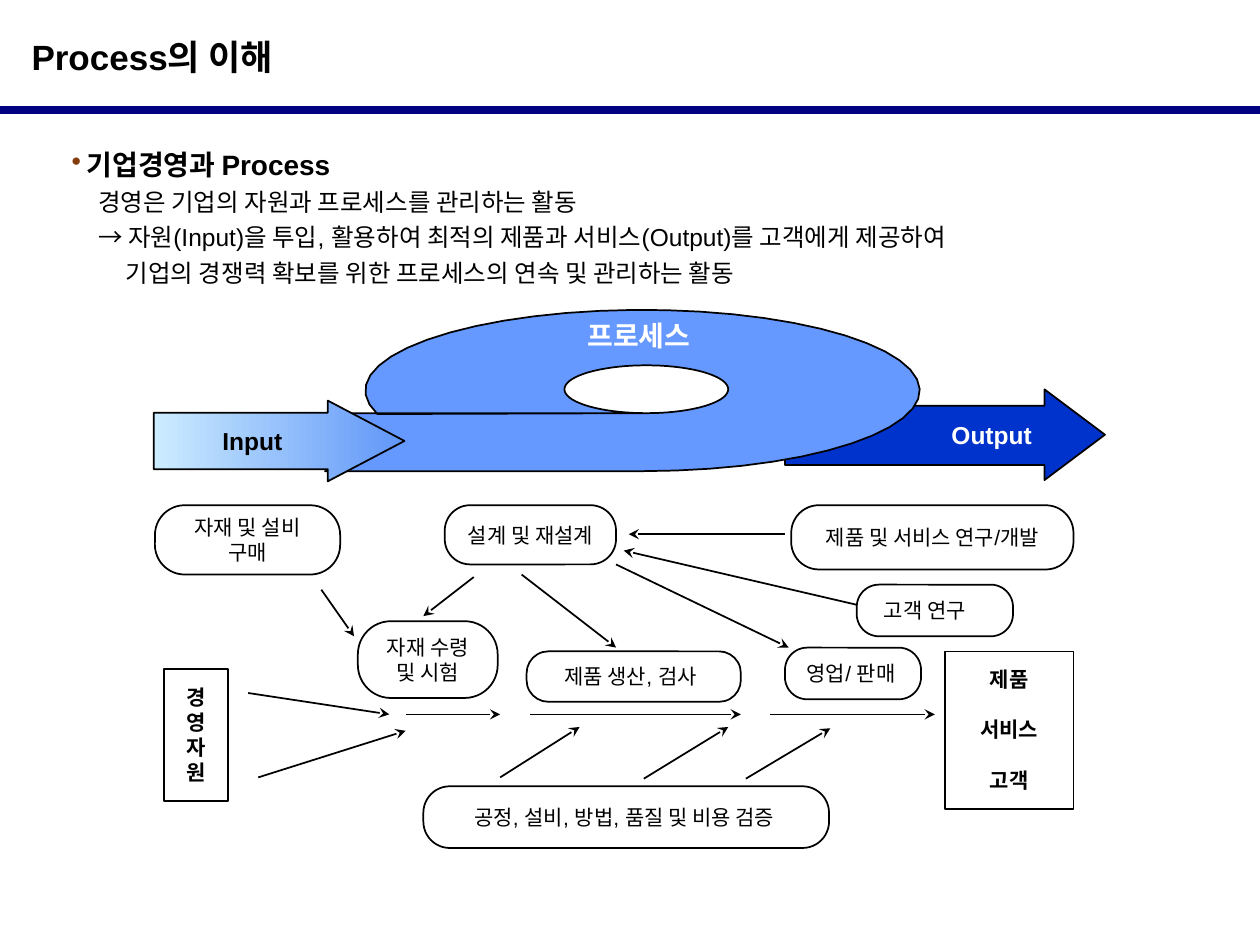
from dataclasses import dataclass
from math import cos, radians, sin

from lxml import etree
from pptx import Presentation
from pptx.dml.color import RGBColor
from pptx.enum.shapes import MSO_CONNECTOR, MSO_SHAPE
from pptx.enum.text import MSO_ANCHOR, PP_ALIGN
from pptx.oxml.ns import qn
from pptx.util import Inches, Pt

STRAIGHT = MSO_CONNECTOR.STRAIGHT
RECTANGLE, ROUNDED = MSO_SHAPE.RECTANGLE, MSO_SHAPE.ROUNDED_RECTANGLE
RIGHT_ARROW = MSO_SHAPE.RIGHT_ARROW
LEFT, CENTER, JUSTIFY = PP_ALIGN.LEFT, PP_ALIGN.CENTER, PP_ALIGN.JUSTIFY
TOP, MIDDLE = MSO_ANCHOR.TOP, MSO_ANCHOR.MIDDLE


@dataclass(frozen=True)
class Theme:
    font: str = "Arial"
    black: str = "000000"
    white: str = "FFFFFF"
    rule: str = "000080"
    bullet: str = "843C0B"
    output: str = "0033CC"
    process: str = "6699FF"
    input_start: str = "CCECFF"
    input_end: str = "6096F8"
    title: int = 20
    heading: int = 16
    body: int = 14
    label: int = 12


THEME = Theme()

STEPS = [
    (6.28, 4.01, 2.24, 0.51, ["제품 및 서비스 연구/개발"], 0),
    (3.53, 4.01, 1.36, 0.47, ["설계 및 재설계"], 0),
    (6.8, 4.64, 1.24, 0.41, ["고객 연구"], 0.16),
    (1.23, 4.01, 1.47, 0.55, ["자재 및 설비", "구매"], 0),
    (2.84, 4.93, 1.11, 0.61, ["자재 수령", "및 시험"], 0),
    (4.18, 5.17, 1.7, 0.4, ["제품 생산, 검사"], 0.05),
    (6.23, 5.14, 1.08, 0.41, ["영업/ 판매"], 0.03),
    (3.36, 6.24, 3.22, 0.49, ["공정, 설비, 방법, 품질 및 비용 검증"], 0.03),
]

FLOWS = [
    (3.22, 5.67, 3.97, 5.67), (4.21, 5.67, 5.88, 5.67), (6.11, 5.67, 7.42, 5.67),
    (1.97, 5.5, 3.09, 5.67), (2.05, 6.17, 3.22, 5.8), (3.97, 6.17, 4.6, 5.77),
    (5.11, 6.18, 5.78, 5.77), (5.92, 6.18, 6.59, 5.78), (4.89, 4.48, 6.26, 5.14),
    (3.76, 4.58, 3.36, 4.89), (4.14, 4.56, 4.89, 5.14), (6.8, 4.8, 4.95, 4.37),
    (2.55, 4.68, 2.81, 5.05), (6.23, 4.24, 4.99, 4.24),
]

BODY = [
    ("기업경영과 Process", THEME.heading, True, 0.12),
    ("경영은 기업의 자원과 프로세스를 관리하는 활동", THEME.body, False, 0.21),
    ("→ 자원(Input)을 투입, 활용하여 최적의 제품과 서비스(Output)를 고객에게 제공하여",
     THEME.body, False, 0.21),
    ("기업의 경쟁력 확보를 위한 프로세스의 연속 및 관리하는 활동", THEME.body, False, 0.43),
]


def color(value):
    return RGBColor.from_string(value)


def style(paragraph, size, bold=False, ink=THEME.black, align=CENTER):
    paragraph.alignment = align
    font = paragraph.font
    font.name, font.size, font.bold = THEME.font, Pt(size), bold
    font.color.rgb = color(ink)


def write(shape, lines, size, bold=False, ink=THEME.black, anchor=MIDDLE, gap=0):
    frame = shape.text_frame
    frame.word_wrap = False
    frame.vertical_anchor = anchor
    frame.text = "\n".join(lines)
    for paragraph in frame.paragraphs:
        style(paragraph, size, bold, ink)
        paragraph.space_after = Pt(gap)


def outline(shape, fill=None):
    shape.shadow.inherit = False
    shape.line.color.rgb = color(THEME.black)
    shape.line.width = Pt(1)
    if fill:
        shape.fill.solid()
        shape.fill.fore_color.rgb = color(fill)
    else:
        shape.fill.background()


def add_box(page, kind, left, top, width, height):
    box = page.shapes.add_shape(kind, Inches(left), Inches(top), Inches(width), Inches(height))
    outline(box)
    return box


def add_step(page, left, top, width, height, lines, right_margin):
    step = add_box(page, ROUNDED, left, top, width, height)
    step.adjustments[0] = 0.43
    write(step, lines, THEME.label)
    step.text_frame.margin_left = 0
    step.text_frame.margin_right = Inches(right_margin)


def add_list_box(page, left, top, width, height, lines, gap=0):
    box = add_box(page, RECTANGLE, left, top, width, height)
    write(box, lines, THEME.label, True, anchor=TOP, gap=gap)
    box.text_frame.margin_top = Inches(0.12)


def add_line(page, x1, y1, x2, y2, ink=THEME.black, weight=1, head=True):
    line = page.shapes.add_connector(STRAIGHT, Inches(x1), Inches(y1), Inches(x2), Inches(y2))
    line.line.color.rgb = color(ink)
    line.line.width = Pt(weight)
    if head:
        etree.SubElement(line.line._get_or_add_ln(), qn("a:tailEnd"), type="stealth")
    etree.SubElement(line._element.spPr, qn("a:effectLst"))


def add_outline_shape(page, points, fill):
    corners = [(Inches(x), Inches(y)) for x, y in points]
    builder = page.shapes.build_freeform(*corners[0])
    builder.add_line_segments(corners[1:], close=True)
    shape = builder.convert_to_shape()
    outline(shape, fill)
    return shape


def arc(center_x, center_y, radius_x, radius_y, start, stop, step):
    return [(center_x + radius_x * cos(radians(angle)), center_y + radius_y * sin(radians(angle)))
            for angle in range(start, stop + step, step)]


def add_title(page):
    title = page.shapes.title
    title.left, title.top, title.width, title.height = (
        Inches(0), Inches(0.23), Inches(10), Inches(0.44))
    title.text_frame.text = "Process의 이해"
    title.text_frame.margin_left = Inches(0.25)
    title.text_frame.vertical_anchor = MIDDLE
    style(title.text_frame.paragraphs[0], THEME.title, True, align=LEFT)
    add_line(page, 0, 0.87, 10, 0.87, THEME.rule, 4.5, head=False)


def add_body(page):
    box = page.shapes.add_textbox(Inches(0.47), Inches(1.07), Inches(9.06), Inches(1.27))
    frame = box.text_frame
    frame.word_wrap = True
    frame.text = "\n".join(line[0] for line in BODY)
    for paragraph, (_, size, bold, indent) in zip(frame.paragraphs, BODY):
        style(paragraph, size, bold, align=JUSTIFY)
        paragraph.line_spacing = 1.2
        paragraph._p.get_or_add_pPr().set("marL", str(Inches(indent)))
    properties = frame.paragraphs[0]._p.pPr
    properties.set("indent", str(-Inches(BODY[0][3])))
    bullet_color = etree.Element(qn("a:buClr"))
    etree.SubElement(bullet_color, qn("a:srgbClr"), val=THEME.bullet)
    bullet = etree.Element(qn("a:buChar"), char="•")
    defaults = properties.find(qn("a:defRPr"))
    defaults.addprevious(bullet_color)
    defaults.addprevious(bullet)


def add_output(page):
    points = [(8.29, 3.69), (6.23, 3.69), (6.23, 3.22), (8.29, 3.22),
              (8.29, 3.09), (8.77, 3.45), (8.29, 3.81)]
    output = add_outline_shape(page, points, THEME.output)
    write(output, ["Output"], THEME.body, True, THEME.white)
    output.text_frame.margin_left = Inches(0.84)


def add_process(page):
    outer = arc(5.1, 3.1, 2.2, 0.64, 163, 450, 7)
    tail = [(2.58, 3.74), (3.09, 3.5), (2.59, 3.28)]
    hole = arc(5.13, 3.09, 0.65, 0.19, 90, -270, -5)
    add_outline_shape(page, outer + tail + hole, THEME.process)


def add_input(page):
    arrow = add_box(page, RIGHT_ARROW, 1.22, 3.18, 1.99, 0.64)
    arrow.adjustments[0], arrow.adjustments[1] = 0.7, 0.95
    arrow.fill.gradient()
    arrow.fill.gradient_angle = 0
    for stop, ink in zip(arrow.fill.gradient_stops, (THEME.input_start, THEME.input_end)):
        stop.color.rgb = color(ink)
    write(arrow, ["Input"], THEME.body, True)


def add_process_label(page):
    label = page.shapes.add_textbox(Inches(4.52), Inches(2.48), Inches(1.1), Inches(0.37))
    write(label, ["프로세스"], THEME.heading, True, THEME.white)
    span = label.text_frame.paragraphs[0].runs[0]
    effects = etree.SubElement(span._r.get_or_add_rPr(), qn("a:effectLst"))
    shadow = etree.SubElement(effects, qn("a:outerShdw"), dist="25400", dir="2700000")
    etree.SubElement(shadow, qn("a:srgbClr"), val=THEME.black)


def main():
    deck = Presentation()
    deck.slide_width, deck.slide_height = Inches(10), Inches(7.5)
    page = deck.slides.add_slide(deck.slide_layouts[5])
    add_title(page)
    add_body(page)
    add_output(page)
    for step in STEPS:
        add_step(page, *step)
    for flow in FLOWS:
        add_line(page, *flow)
    add_list_box(page, 7.5, 5.17, 1.02, 1.25, ["제품", "서비스", "고객"], gap=14.4)
    add_list_box(page, 1.3, 5.31, 0.51, 1.05, list("경영자원"))
    add_process(page)
    add_input(page)
    add_process_label(page)
    deck.save("out.pptx")


if __name__ == "__main__":
    main()
